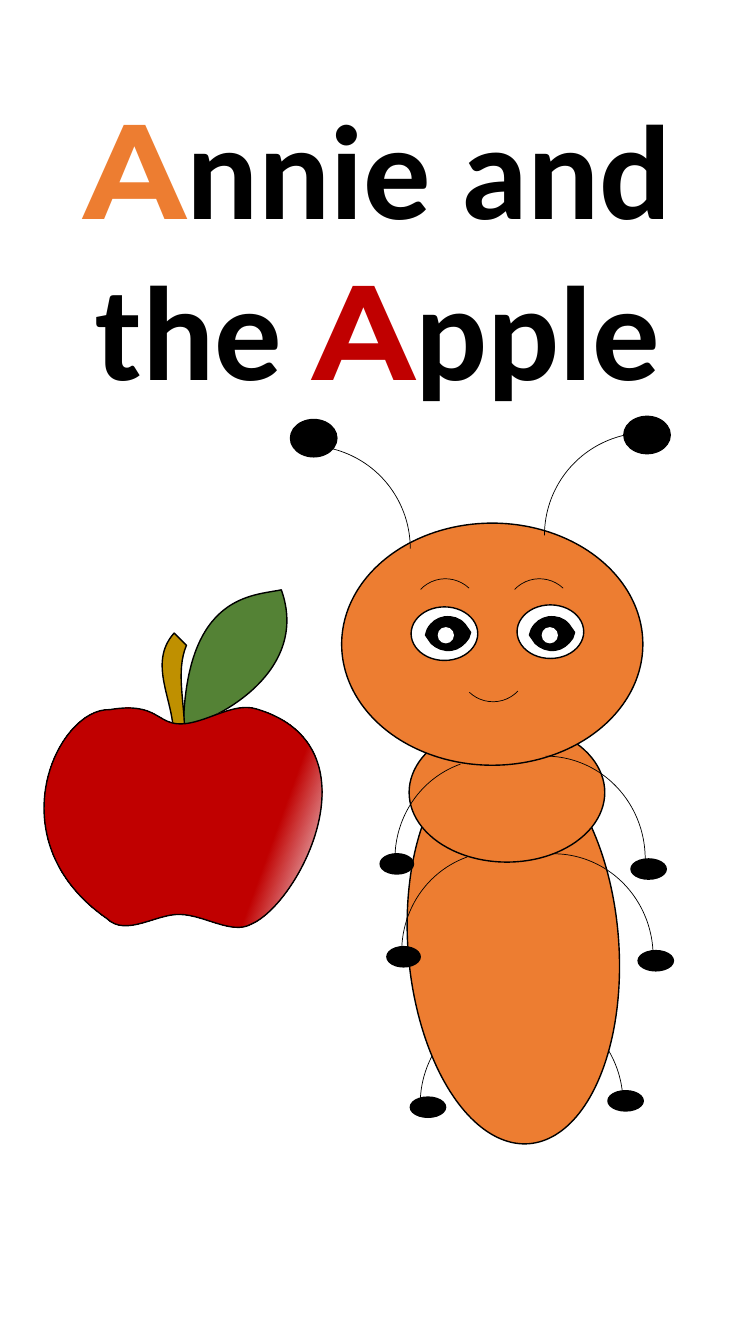
import math
from dataclasses import dataclass

from lxml import etree
from pptx import Presentation
from pptx import util as u
from pptx.dml.color import RGBColor
from pptx.enum import shapes, text
from pptx.oxml import ns


@dataclass(frozen=True)
class Theme:
    """Colours, fonts and sizes of the book cover."""
    orange: str = "ED7D31"
    red: str = "C00000"
    green: str = "548235"
    brown: str = "BF9000"
    shine: str = "F6F8FC"
    black: str = "000000"
    white: str = "FFFFFF"
    letter_font: str = "Montserrat"
    word_font: str = "Calibri"
    title_size: int = 96
    outline: float = 1
    hairline: float = 0.5


THEME = Theme()
LIMB = (5.03, 5.18)
FEELER = (5.18, 5.18)
SMALL_ARC = (1.73, 1.73)
FOOT = (0.89, 0.51)
LEFT_FOOT = (0.84, 0.51)
EYE_GAP = 2.62

LEAF = [(4.62, 18.31), (4.70, 14.96, 6.38, 15.01, 7.09, 14.86),
        (7.85, 16.99, 5.31, 18.21, 4.62, 18.31)]
STEM = [(4.39, 15.95), (4.70, 16.26), (4.42, 16.92, 4.67, 17.75, 4.65, 18.49),
        (4.37, 18.52), (4.39, 17.65, 3.71, 16.71, 4.39, 15.95)]
FRUIT = [(2.77, 17.88), (3.96, 17.68, 3.94, 18.24, 4.55, 18.24),
         (5.16, 18.24, 5.87, 17.68, 6.45, 17.86),
         (9.58, 18.77, 7.57, 22.76, 6.32, 23.29),
         (5.84, 23.55, 5.16, 23.06, 4.55, 23.04),
         (3.94, 23.01, 3.18, 23.62, 2.69, 23.14),
         (-0.15, 21.16, 1.45, 17.83, 2.77, 17.88)]
PUPIL = [(10.72, 16.00), (10.77, 15.85), (10.87, 15.67, 11.02, 15.57, 11.20, 15.54),
         (11.40, 15.52, 11.58, 15.57, 11.71, 15.72), (11.86, 15.93), (11.81, 16.08),
         (11.71, 16.23, 11.56, 16.36, 11.38, 16.38),
         (11.18, 16.41, 11.00, 16.33, 10.87, 16.21), (10.72, 16.00)]


def paint(shape, fill=None, line=THEME.outline):
    """Set the fill and the black outline; None leaves either out."""
    shape.shadow.inherit = False
    if fill:
        shape.fill.solid()
        shape.fill.fore_color.rgb = RGBColor.from_string(fill)
    else:
        shape.fill.background()
    if line:
        shape.line.color.rgb = RGBColor.from_string(THEME.black)
        shape.line.width = u.Pt(line)
    else:
        shape.line.fill.background()


def place(group, kind, corner, size):
    """Add a preset shape at a corner, both in centimetres."""
    return group.shapes.add_shape(kind, *(u.Cm(value) for value in (*corner, *size)))


def ellipse(group, corner, size, fill, line=THEME.outline, rotation=0):
    """Add a filled ellipse."""
    oval = place(group, shapes.MSO_SHAPE.OVAL, corner, size)
    oval.rotation = rotation
    paint(oval, fill, line)


def arc(group, corner, size, flip=None, rotation=0, end=None):
    """Add a thin quarter arc, optionally mirrored, turned or shortened."""
    curve = place(group, shapes.MSO_SHAPE.ARC, corner, size)
    curve.rotation = rotation
    if flip:
        curve._element.spPr.xfrm.set(flip, "1")
    if end:
        curve.adjustments[0] = 162
        curve.adjustments[1] = end
    paint(curve, line=THEME.hairline)


def add_node(contour, tag, points=()):
    """Append one drawing command with its points to a contour."""
    command = etree.SubElement(contour, ns.qn(f"a:{tag}"))
    for x, y in points:
        etree.SubElement(command, ns.qn("a:pt"), x=str(u.Cm(x)), y=str(u.Cm(y)))


def outline(group, segments, fill, frame, rotation=0, shift=0):
    """Add a closed curved outline whose frame is turned about its centre."""
    left, top, width, height = frame
    corners = [(left, top), (left + width, top),
               (left + width, top + height), (left, top + height)]
    start, *rest = [(u.Cm(x + shift), u.Cm(y)) for x, y in corners]
    builder = group.shapes.build_freeform(*start)
    builder.add_line_segments(rest, close=True)
    shape = builder.convert_to_shape()
    shape.rotation = rotation
    paint(shape, fill)

    cos, sin = math.cos(math.radians(rotation)), math.sin(math.radians(rotation))

    def local(x, y):
        """Turn a slide point back into the frame."""
        across, down = x - left - width / 2, y - top - height / 2
        return (across * cos + down * sin + width / 2,
                down * cos - across * sin + height / 2)

    contour = shape._element.find(".//" + ns.qn("a:path"))
    for command in list(contour):
        contour.remove(command)
    for index, segment in enumerate(segments):
        tag = "moveTo" if index == 0 else "lnTo" if len(segment) == 2 else "cubicBezTo"
        add_node(contour, tag, [local(x, y) for x, y in zip(segment[::2], segment[1::2])])
    add_node(contour, "close")
    return shape


def add_title(slide):
    """Write the title with its two coloured initials."""
    box = slide.shapes.add_textbox(u.Cm(0), u.Cm(2.01), u.Cm(19.05), u.Cm(8.46))
    frame = box.text_frame
    frame.word_wrap = True
    frame.auto_size = text.MSO_AUTO_SIZE.SHAPE_TO_FIT_TEXT
    paragraph = frame.paragraphs[0]
    paragraph.alignment = text.PP_ALIGN.CENTER
    for words, font, color in (("A", THEME.letter_font, THEME.orange),
                               ("nnie and the ", THEME.word_font, THEME.black),
                               ("A", THEME.letter_font, THEME.red),
                               ("pple", THEME.word_font, THEME.black)):
        run = paragraph.add_run()
        run.text = words
        run.font.name = font
        run.font.size = u.Pt(THEME.title_size)
        run.font.bold = True
        run.font.color.rgb = RGBColor.from_string(color)


def add_apple(slide):
    """Draw the apple with its leaf, stem and shine."""
    apple = slide.shapes.add_group_shape()
    outline(apple, LEAF, THEME.green, (3.73, 15.60, 4.19, 1.96), 313.1)
    outline(apple, STEM, THEME.brown, (4.11, 15.95, 0.69, 2.54), 354.2)
    fill = outline(apple, FRUIT, THEME.red, (1.12, 17.83, 7.01, 5.54)).fill
    fill.gradient()
    fill.gradient_angle = 160
    for stop, position, color in zip(fill.gradient_stops, (0, 0.23), (THEME.shine, THEME.red)):
        stop.position = position
        stop.color.rgb = RGBColor.from_string(color)


def add_body(ant):
    """Draw the hind legs, body, head, first arm and antennae."""
    arc(ant, (10.59, 25.22), FEELER, "flipH")
    arc(ant, (10.52, 25.20), FEELER)
    ellipse(ant, (7.92, 21.16), (10.03, 5.31), THEME.orange, rotation=85.5)
    ellipse(ant, (10.31, 18.21), (4.93, 3.51), THEME.orange)
    ellipse(ant, (8.61, 13.18), (7.59, 6.10), THEME.orange)
    arc(ant, (11.23, 19.05), LIMB)
    arc(ant, (13.72, 10.90), FEELER, "flipH")
    arc(ant, (5.16, 11.23), FEELER)
    for tip in ((15.72, 10.49), (7.32, 10.57)):
        ellipse(ant, tip, (1.17, 0.94), THEME.black)
    for foot in ((15.90, 21.64), (15.32, 27.48), (10.34, 27.64)):
        ellipse(ant, foot, FOOT, THEME.black)


def add_eye(ant, corner, shift=0):
    """Draw an eye with its pupil and glint."""
    ellipse(ant, corner, (1.68, 1.35), THEME.white)
    outline(ant, PUPIL, THEME.black, (10.87, 15.39, 0.86, 1.14), 262.1, shift)
    ellipse(ant, (11.03 + shift, 15.80), (0.41, 0.41), THEME.white, line=None)


def add_face(ant):
    """Draw the brows, eyes and smile."""
    for brow in (12.73, 10.36):
        arc(ant, (brow, 14.58), SMALL_ARC, "flipH", 43.5)
    add_eye(ant, (13.03, 15.24), EYE_GAP)
    add_eye(ant, (10.36, 15.29))
    arc(ant, (11.56, 15.95), SMALL_ARC, "flipV", 43.5)


def add_limbs(ant):
    """Draw the remaining front limbs with their feet."""
    arc(ant, (9.96, 19.10), LIMB, "flipH", 340.4, 204.02)
    ellipse(ant, (9.58, 21.51), LEFT_FOOT, THEME.black)
    arc(ant, (11.43, 21.51), LIMB)
    ellipse(ant, (16.08, 23.95), FOOT, THEME.black)
    arc(ant, (10.13, 21.44), LIMB, "flipH", 340.4, 204.02)
    ellipse(ant, (9.75, 23.85), LEFT_FOOT, THEME.black)


def main():
    """Build the cover and save it."""
    deck = Presentation()
    deck.slide_width, deck.slide_height = u.Cm(19.05), u.Cm(33.86)
    cover = deck.slides.add_slide(deck.slide_layouts[6])
    add_title(cover)
    add_apple(cover)
    ant = cover.shapes.add_group_shape()
    add_body(ant)
    add_face(ant)
    add_limbs(ant)
    deck.save("out.pptx")


if __name__ == "__main__":
    main()
